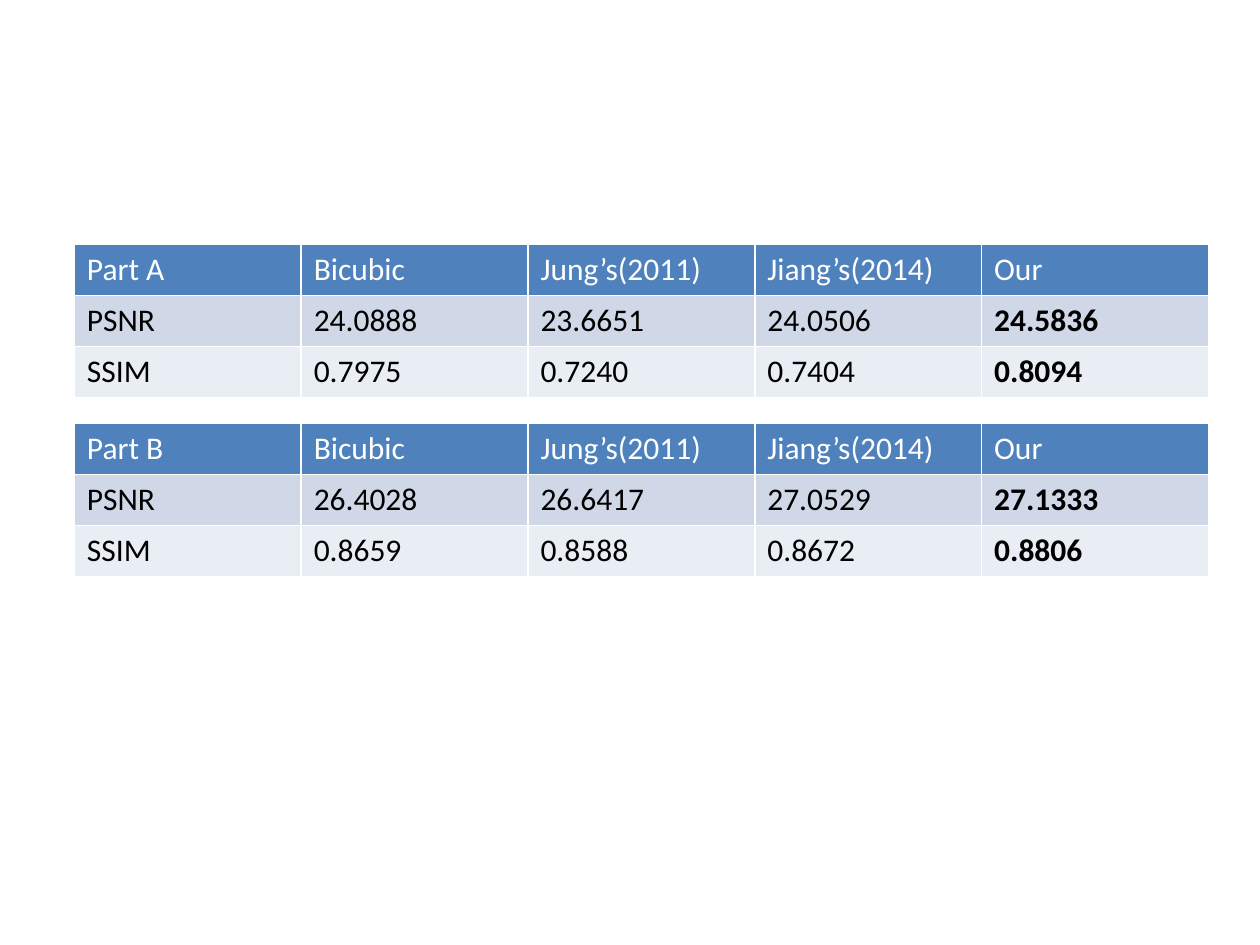
from dataclasses import dataclass

from pptx import Presentation
from pptx.dml.color import RGBColor as RGB
from pptx.util import Pt


@dataclass(frozen=True)
class Theme:
    """Colours and type of the result tables."""
    font: str = "Calibri"
    size: int = 18
    header_text: RGB = RGB(0xFF, 0xFF, 0xFF)
    body_text: RGB = RGB(0, 0, 0)
    header_fill: RGB = RGB(0x4F, 0x81, 0xBD)
    bands: tuple = (RGB(0xD0, 0xD8, 0xE8), RGB(0xE9, 0xED, 0xF4))


THEME = Theme()
METHODS = ["Bicubic", "Jung’s(2011)", "Jiang’s(2014)", "Our"]
RESULTS = {
    "Part A": [
        ["PSNR", "24.0888", "23.6651", "24.0506", "24.5836"],
        ["SSIM", "0.7975", "0.7240", "0.7404", "0.8094"],
    ],
    "Part B": [
        ["PSNR", "26.4028", "26.6417", "27.0529", "27.1333"],
        ["SSIM", "0.8659", "0.8588", "0.8672", "0.8806"],
    ],
}


def style_cell(cell, text, fill, color, bold):
    """Write one cell and set its fill and font."""
    cell.fill.solid()
    cell.fill.fore_color.rgb = fill
    cell.text_frame.text = text
    font = cell.text_frame.paragraphs[0].runs[0].font
    font.name, font.size, font.bold = THEME.font, Pt(THEME.size), bold
    font.color.rgb = color


def add_result_table(slide, title, scores, left, top, width, height):
    """Fill the given box with the scores of one part, the last column in bold."""
    rows = [[title, *METHODS], *scores]
    columns = len(rows[0])
    table = slide.shapes.add_table(
        len(rows), columns, Pt(left), Pt(top), Pt(width), Pt(height)).table
    for column in table.columns:
        column.width = Pt(width / columns)
    for i, row in enumerate(rows):
        table.rows[i].height = Pt(height / len(rows))
        header = i == 0
        fill = THEME.header_fill if header else THEME.bands[(i - 1) % 2]
        color = THEME.header_text if header else THEME.body_text
        for j, text in enumerate(row):
            bold = not header and j == columns - 1
            style_cell(table.cell(i, j), text, fill, color, bold)


def build():
    """Build the slide with one table for each part."""
    prs = Presentation()
    prs.slide_width, prs.slide_height = Pt(720), Pt(540)
    slide = prs.slides.add_slide(prs.slide_layouts[6])
    left, top, width, height, pitch = 42.5, 139.7, 648, 87.6, 102.2
    for n, (title, scores) in enumerate(RESULTS.items()):
        add_result_table(slide, title, scores, left, top + n * pitch, width, height)
    prs.save("out.pptx")


build()
